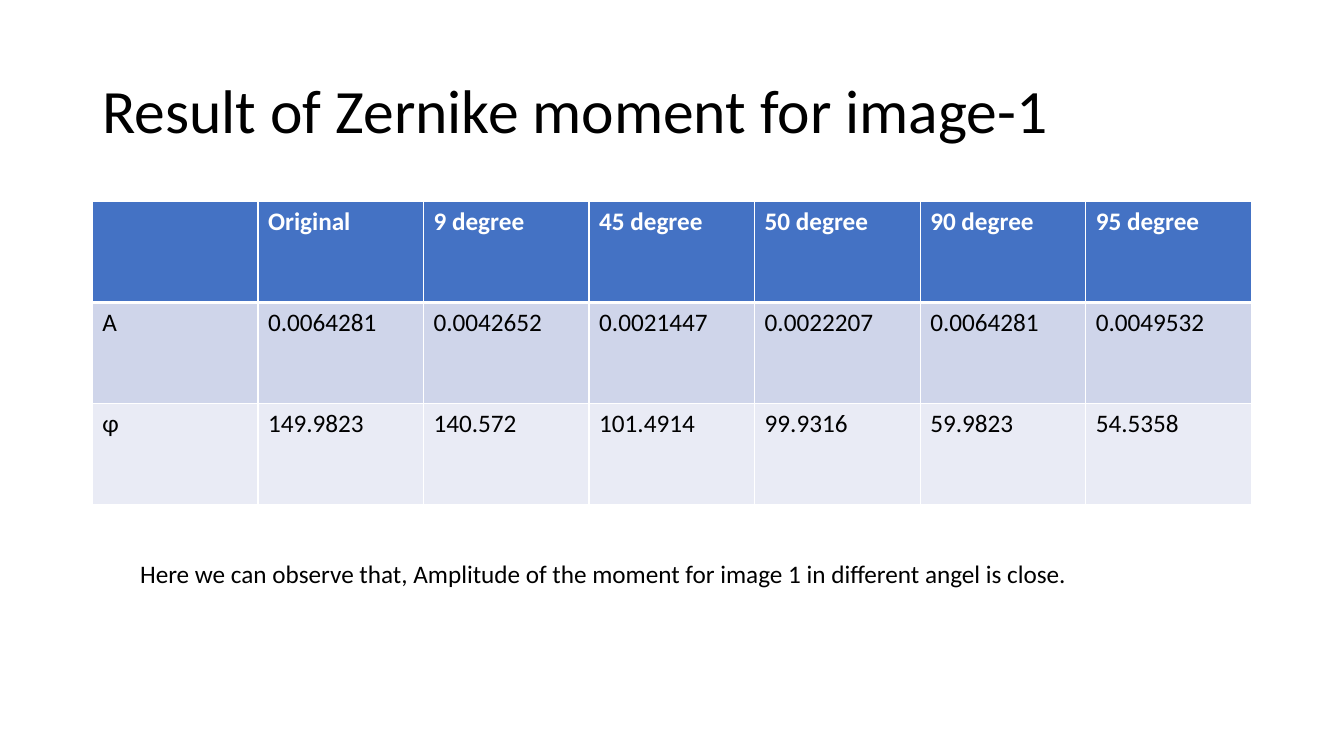
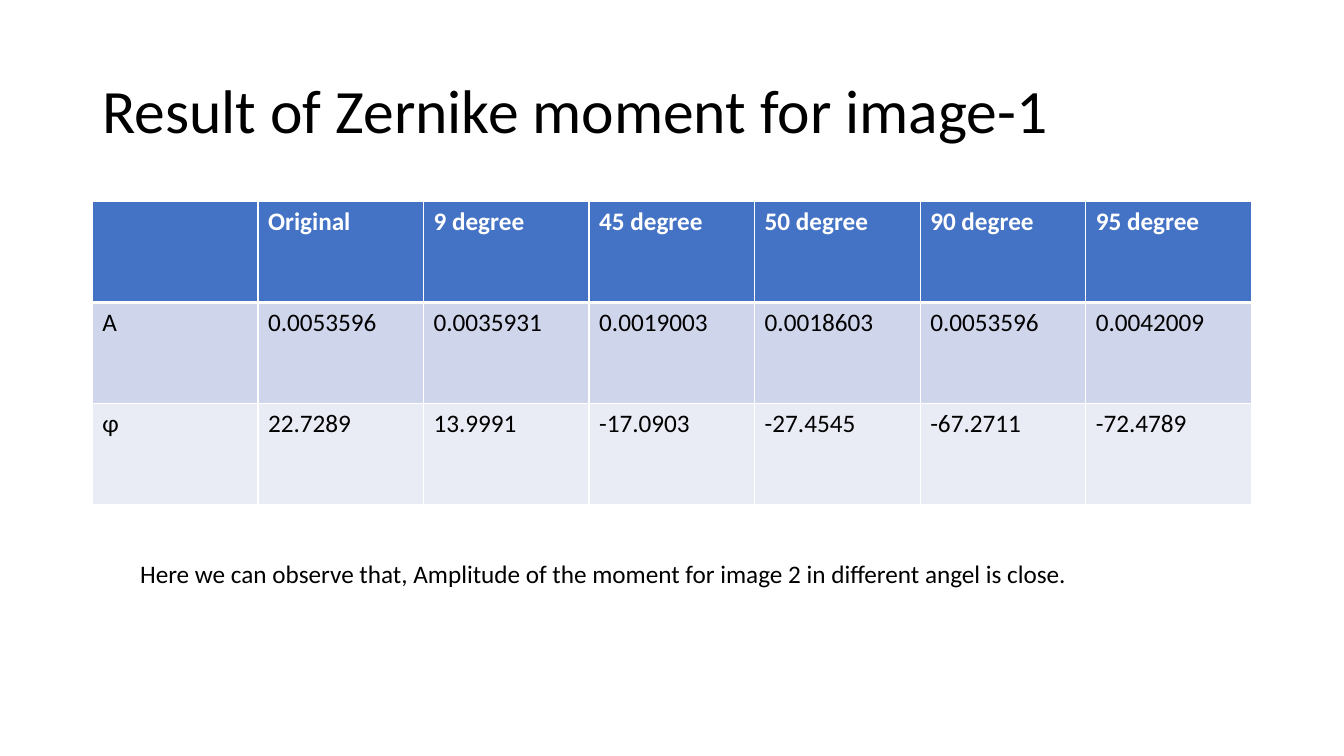
from dataclasses import dataclass

from lxml import etree
from pptx import Presentation
from pptx.dml.color import RGBColor
from pptx.enum.text import MSO_ANCHOR
from pptx.oxml.ns import qn
from pptx.slide import Slide
from pptx.table import _Cell
from pptx.text.text import _Paragraph
from pptx.util import Pt

MIDDLE, TOP = MSO_ANCHOR.MIDDLE, MSO_ANCHOR.TOP


@dataclass(frozen=True)
class Theme:
    """Colours and type sizes shared by the slides."""

    font: str = "Calibri"
    title_size: float = 44
    body_size: float = 18
    text: str = "000000"
    header_text: str = "FFFFFF"
    header_fill: str = "4472C4"
    band_fills: tuple[str, str] = ("CFD5EA", "E9EBF5")
    rule: str = "FFFFFF"
    thin_rule: float = 1
    header_rule: float = 3


@dataclass(frozen=True)
class Box:
    """A rectangle in points."""

    left: float
    top: float
    width: float
    height: float


@dataclass(frozen=True)
class MomentResult:
    """Amplitudes and phases found for one image."""

    image_number: int
    amplitudes: tuple[str, ...]
    phases: tuple[str, ...]


THEME = Theme()
TITLE_BOX = Box(66, 28.75, 828, 104.38)
TABLE_BOX = Box(66, 143.75, 828, 216.75)
REMARK_BOX = Box(93, 395.5, 684.5, 29)
TITLE = "Result of Zernike moment for image-1"
HEADINGS = ("", "Original", "9 degree", "45 degree", "50 degree", "90 degree", "95 degree")
RESULTS = (
    MomentResult(
        1,
        ("0.0064281", "0.0042652", "0.0021447", "0.0022207", "0.0064281", "0.0049532"),
        ("149.9823", "140.572", "101.4914", "99.9316", "59.9823", "54.5358"),
    ),
    MomentResult(
        2,
        ("0.0053596", "0.0035931", "0.0019003", "0.0018603", "0.0053596", "0.0042009"),
        ("22.7289", "13.9991", "-17.0903", "-27.4545", "-67.2711", "-72.4789"),
    ),
)


def write(paragraph: _Paragraph, text: str, size: float, color: str, bold: bool = False) -> None:
    """Fill a paragraph with text in the theme font."""
    paragraph.text = text
    paragraph.font.name = THEME.font
    paragraph.font.size = Pt(size)
    paragraph.font.bold = bold
    paragraph.font.color.rgb = RGBColor.from_string(color)


def add_text(slide: Slide, box: Box, text: str, size: float, anchor: MSO_ANCHOR, wrap: bool) -> _Paragraph:
    """Add a text box with one paragraph and return that paragraph."""
    frame = slide.shapes.add_textbox(
        Pt(box.left), Pt(box.top), Pt(box.width), Pt(box.height)
    ).text_frame
    frame.word_wrap = wrap
    frame.vertical_anchor = anchor
    write(frame.paragraphs[0], text, size, THEME.text)
    return frame.paragraphs[0]


def set_borders(cell: _Cell, top: float, bottom: float) -> None:
    """Rule all four sides of a cell."""
    properties = cell._tc.get_or_add_tcPr()
    widths = {"lnL": THEME.thin_rule, "lnR": THEME.thin_rule, "lnT": top, "lnB": bottom}
    for side, width in widths.items():
        line = etree.SubElement(properties, qn(f"a:{side}"), w=str(Pt(width)))
        fill = etree.SubElement(line, qn("a:solidFill"))
        etree.SubElement(fill, qn("a:srgbClr"), val=THEME.rule)


def add_moment_table(slide: Slide, result: MomentResult) -> None:
    """Add the table of amplitude and phase by rotation angle."""
    rows = (HEADINGS, ("A", *result.amplitudes), ("ɸ", *result.phases))
    fills = (THEME.header_fill, *THEME.band_fills)
    box = TABLE_BOX
    table = slide.shapes.add_table(
        len(rows), len(HEADINGS), Pt(box.left), Pt(box.top), Pt(box.width), Pt(box.height)
    ).table
    for column in table.columns:
        column.width = Pt(box.width / len(HEADINGS))
    for row_index, (values, fill) in enumerate(zip(rows, fills)):
        is_header = row_index == 0
        table.rows[row_index].height = Pt(box.height / len(rows))
        top = THEME.header_rule if row_index == 1 else THEME.thin_rule
        bottom = THEME.header_rule if is_header else THEME.thin_rule
        color = THEME.header_text if is_header else THEME.text
        for column_index, value in enumerate(values):
            cell = table.cell(row_index, column_index)
            set_borders(cell, top, bottom)
            cell.fill.solid()
            cell.fill.fore_color.rgb = RGBColor.from_string(fill)
            write(cell.text_frame.paragraphs[0], value, THEME.body_size, color, is_header)


def add_result_slide(slide: Slide, result: MomentResult) -> None:
    """Draw the title, table and remark for one image."""
    title = add_text(slide, TITLE_BOX, TITLE, THEME.title_size, MIDDLE, True)
    title.line_spacing = 0.9
    add_moment_table(slide, result)
    remark = (
        "Here we can observe that, Amplitude of the moment for image "
        f"{result.image_number} in different angel is close."
    )
    add_text(slide, REMARK_BOX, remark, THEME.body_size, TOP, False)


def main() -> None:
    """Build and save the presentation."""
    presentation = Presentation()
    presentation.slide_width, presentation.slide_height = Pt(960), Pt(540)
    blank = presentation.slide_layouts[6]
    for result in RESULTS:
        add_result_slide(presentation.slides.add_slide(blank), result)
    presentation.save("out.pptx")


main()
